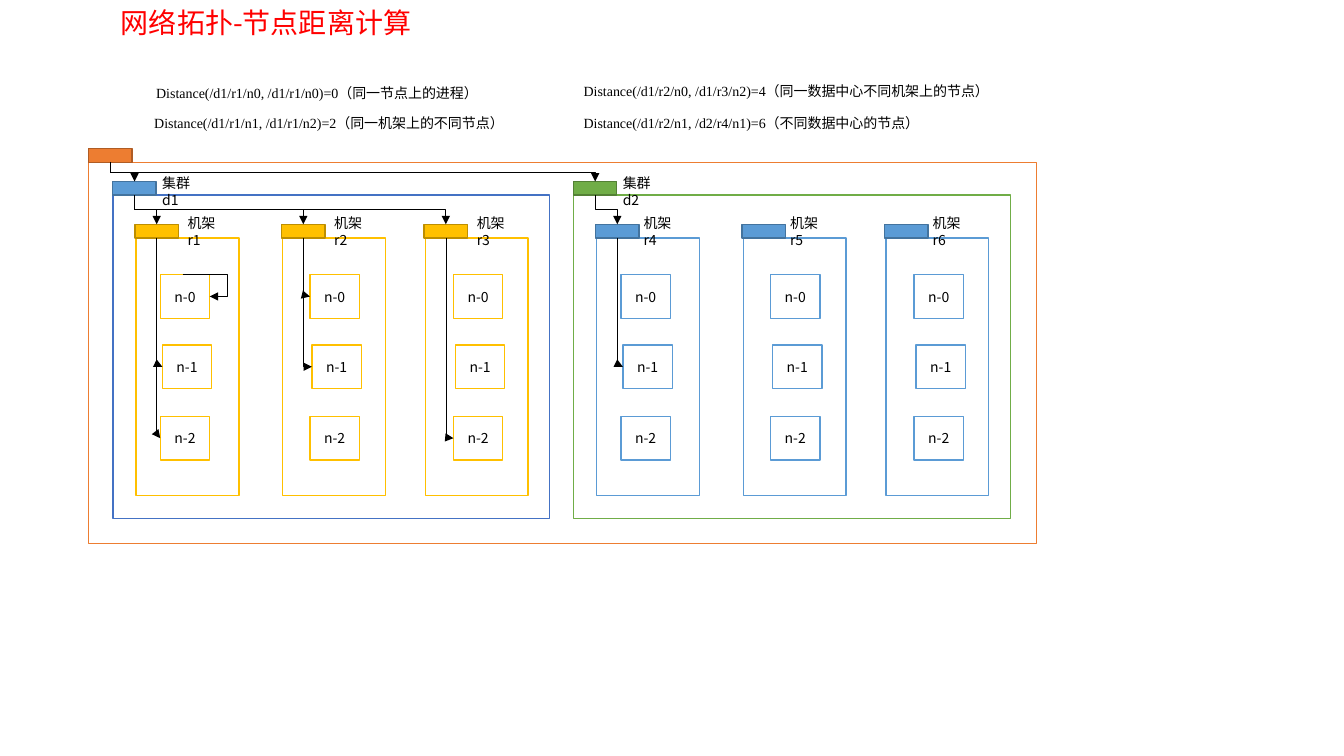
from dataclasses import dataclass

from lxml.etree import SubElement
from pptx import Presentation
from pptx.dml.color import RGBColor
from pptx.enum.shapes import MSO_CONNECTOR, MSO_SHAPE
from pptx.enum.text import MSO_ANCHOR, MSO_AUTO_SIZE, PP_ALIGN
from pptx.oxml.ns import qn
from pptx.util import Pt


@dataclass(frozen=True)
class Theme:
    """Colours, fonts and sizes of the slide."""
    ink: str = "000000"
    paper: str = "FFFFFF"
    title: str = "FF0000"
    root: tuple = ("ED7D31", "AF5C24")
    gold: tuple = ("FFC000", "BD8E00")
    blue: tuple = ("5B9BD5", "43739E")
    green: tuple = ("70AD47", "538035")
    navy: str = "4472C4"
    sans: str = "Noto Sans CJK SC"
    serif: str = "Times New Roman"
    head: float = 20
    body: float = 10
    rule: float = 1
    wire: float = 0.5


THEME = Theme()
TAB_W, TAB_H = 31, 9.8
NODE_W, NODE_H = 35.3, 31.2
NODES = [(0, 196.2), (1.4, 246.4), (0, 297.4)]  # shift from rack column, top
RACKS = [(16.6, 33.9), (121.3, 140.8), (223.2, 243.3)]  # frame, nodes
RACK_TOP, CLUSTER_TOP, ROOT_TOP = 170, 139.4, 116

# name, left, frame line, tab colours, rack colours, label gap, first rack
CLUSTERS = [
    ("d1", 80.6, THEME.navy, THEME.blue, THEME.gold, 30.5, 1),
    ("d2", 409.6, THEME.green[0], THEME.green, THEME.blue, 27.2, 4),
]
ROUTES = {1: (1, 2), 2: (0, 1), 3: (2,), 4: (1,)}  # rack: nodes reached

RULES = [
    (83.5, 51.1, "Distance(/d1/r1/n0, /d1/r1/n0)=0（同一节点上的进程）"),
    (388.8, 49.3, "Distance(/d1/r2/n0, /d1/r3/n2)=4（同一数据中心不同机架上的节点）"),
    (82.1, 72, "Distance(/d1/r1/n1, /d1/r1/n2)=2（同一机架上的不同节点）"),
    (388.8, 72, "Distance(/d1/r2/n1, /d2/r4/n1)=6（不同数据中心的节点）"),
]


def tint(name):
    """Turn a hex name into a colour."""
    return RGBColor.from_string(name)


def write(par, text, size=THEME.body, face=THEME.sans, hue=THEME.ink):
    """Add one run to a paragraph."""
    run = par.add_run()
    run.text = text
    run.font.size = Pt(size)
    run.font.name = face
    run.font.color.rgb = tint(hue)
    SubElement(run.font._element, qn("a:ea")).set("typeface", THEME.sans)


def box(slide, x, y, w, h, line, fill=THEME.paper, text=""):
    """Draw a rectangle, with centred text if given."""
    rect = slide.shapes.add_shape(
        MSO_SHAPE.RECTANGLE, Pt(x), Pt(y), Pt(w), Pt(h))
    rect.shadow.inherit = False
    rect.fill.solid()
    rect.fill.fore_color.rgb = tint(fill)
    rect.line.color.rgb = tint(line)
    rect.line.width = Pt(THEME.rule)
    if text:
        frame = rect.text_frame
        frame.vertical_anchor = MSO_ANCHOR.MIDDLE
        par = frame.paragraphs[0]
        par.alignment = PP_ALIGN.CENTER
        write(par, text)


def tab(slide, x, bottom, hues):
    """Draw the small tab that sits on top of a frame."""
    box(slide, x, bottom - TAB_H, TAB_W, TAB_H, hues[1], hues[0])


def note(slide, x, y, w, h):
    """Add a wrapping text box and return its paragraph."""
    frame = slide.shapes.add_textbox(Pt(x), Pt(y), Pt(w), Pt(h)).text_frame
    frame.word_wrap = True
    return frame.paragraphs[0]


def formula(slide, x, y, text):
    """Add one distance rule with a first-line indent."""
    par = note(slide, x, y, 360, 25)
    par.alignment = PP_ALIGN.JUSTIFY
    par.line_spacing = 1.5
    par._p.get_or_add_pPr().set("indent", str(Pt(21)))
    write(par, text, face=THEME.serif)


def wire(slide, start, end, bend=None):
    """Draw an elbow arrow; bend moves the middle leg."""
    ends = [Pt(v) for v in (*start, *end)]
    link = slide.shapes.add_connector(MSO_CONNECTOR.ELBOW, *ends)
    link.line.color.rgb = tint(THEME.ink)
    link.line.width = Pt(THEME.wire)
    SubElement(link.line._get_or_add_ln(), qn("a:tailEnd")).set(
        "type", "triangle")
    props = link._element.spPr
    SubElement(props, qn("a:effectLst"))
    if bend:
        guide = SubElement(props.find(qn("a:prstGeom")).find(qn("a:avLst")),
                           qn("a:gd"))
        guide.set("name", "adj1")
        guide.set("fmla", f"val {round(bend * 100000)}")
    return link


def drop(slide, start, end, kind="bentConnector3"):
    """Draw an elbow arrow that leaves its start downwards."""
    link = wire(slide, start, end)
    (x1, y1), (x2, y2) = start, end
    wide, high = x2 - x1, y2 - y1
    link.left, link.top = Pt((x1 + x2 - high) / 2), Pt((y1 + y2 - wide) / 2)
    link.width, link.height = Pt(high), Pt(wide)
    props = link._element.spPr
    turn = props.find(qn("a:xfrm"))
    turn.set("rot", str(270 * 60000))
    turn.set("flipH", "1")
    props.find(qn("a:prstGeom")).set("prst", kind)


def rack(slide, x, col, num, hues, gap):
    """Draw one rack with its tab, label and three nodes."""
    box(slide, x, RACK_TOP, 73.5, 184, hues[0])
    tab(slide, x - 0.8, RACK_TOP, hues)
    write(note(slide, x + gap - 0.8, 150, 43.2, 19.4), f"机架r{num}")
    for i, (shift, y) in enumerate(NODES):
        box(slide, col + shift, y, NODE_W, NODE_H, hues[0], text=f"n-{i}")


def routes(slide, x, col, num, hub):
    """Draw the arrows from a cluster tab to a rack and its nodes."""
    mid = x - 0.8 + TAB_W / 2
    drop(slide, hub, (mid, RACK_TOP - TAB_H))
    for i in ROUTES[num]:
        shift, y = NODES[i]
        drop(slide, (mid, RACK_TOP), (col + shift, y + NODE_H / 2),
             "bentConnector2")


def cluster(slide, name, left, line, hues, inner, gap, first):
    """Draw one cluster with its racks and arrows."""
    box(slide, left, CLUSTER_TOP, 312, 231.2, line)
    write(note(slide, left + 28.2, 121, 45.4, 19.4), f"集群{name}")
    tab(slide, left, CLUSTER_TOP, hues)
    mid = left + TAB_W / 2
    for num, (edge, col) in enumerate(RACKS, first):
        rack(slide, left + edge, left + col, num, inner, gap)
    for num, (edge, col) in enumerate(RACKS, first):
        if num in ROUTES:
            routes(slide, left + edge, left + col, num, (mid, CLUSTER_TOP))
    drop(slide, (63.4 + TAB_W / 2, ROOT_TOP), (mid, CLUSTER_TOP - TAB_H))


def heading(slide, text):
    """Place and fill the title."""
    title = slide.shapes.title
    title.left, title.top = Pt(79.2), Pt(0)
    title.width, title.height = Pt(223.2), Pt(31.7)
    frame = title.text_frame
    frame.word_wrap = True
    frame.auto_size = MSO_AUTO_SIZE.NONE
    frame.vertical_anchor = MSO_ANCHOR.TOP
    par = frame.paragraphs[0]
    par.alignment = PP_ALIGN.LEFT
    write(par, text, THEME.head, hue=THEME.title)


def main():
    """Build the slide and save it."""
    deck = Presentation()
    deck.slide_width, deck.slide_height = Pt(960), Pt(540)
    slide = deck.slides.add_slide(deck.slide_layouts[5])
    heading(slide, "网络拓扑-节点距离计算")
    box(slide, 63.4, ROOT_TOP, 676.8, 272.2, THEME.root[0])
    tab(slide, 63.4, ROOT_TOP, THEME.root)
    for item in CLUSTERS:
        cluster(slide, *item)
    left = CLUSTERS[0][1] + RACKS[0][1]
    top = NODES[0][1]
    wire(slide, (left + 16, top), (left + NODE_W, top + NODE_H / 2), 1.65)
    for item in RULES:
        formula(slide, *item)
    deck.save("out.pptx")


main()
